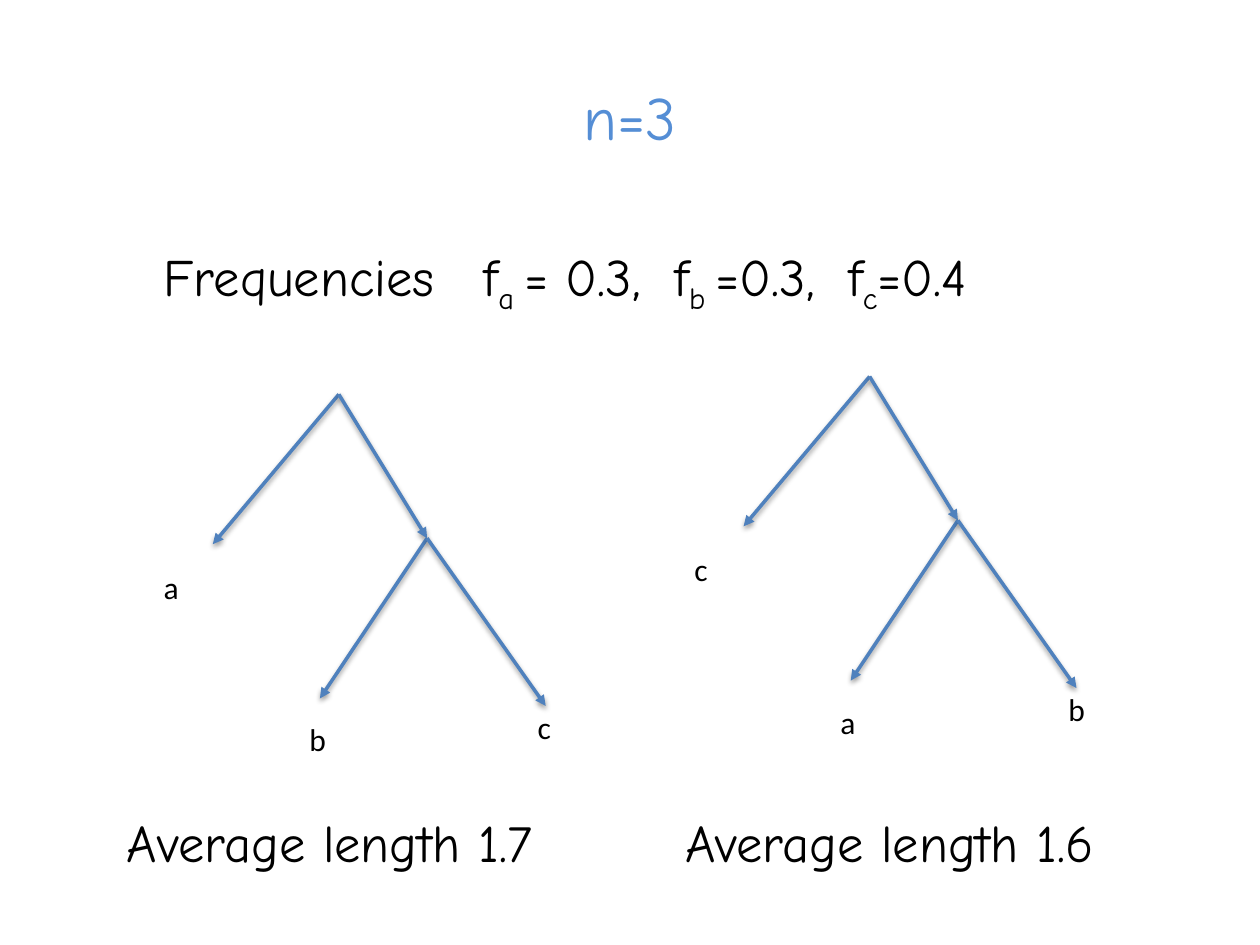
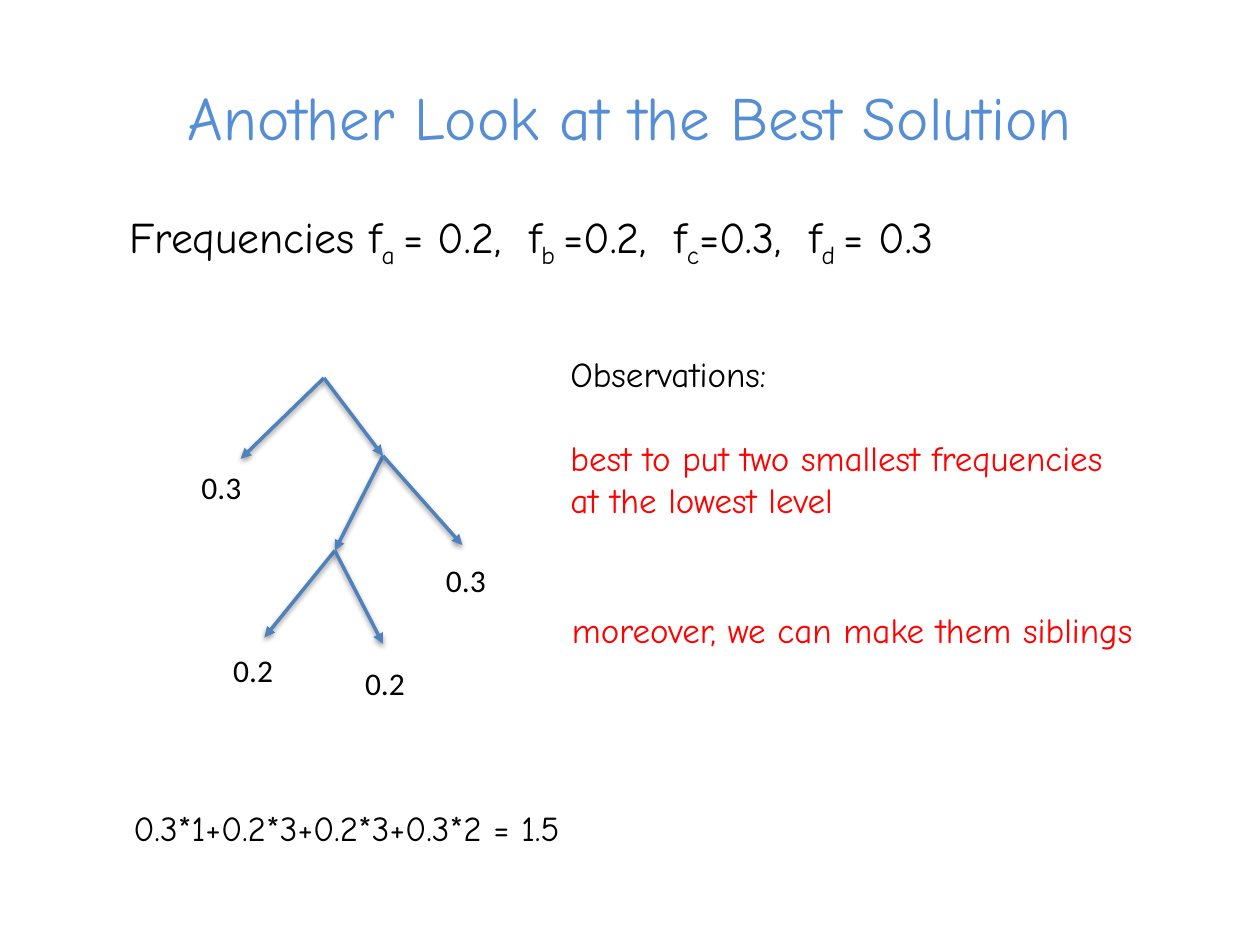
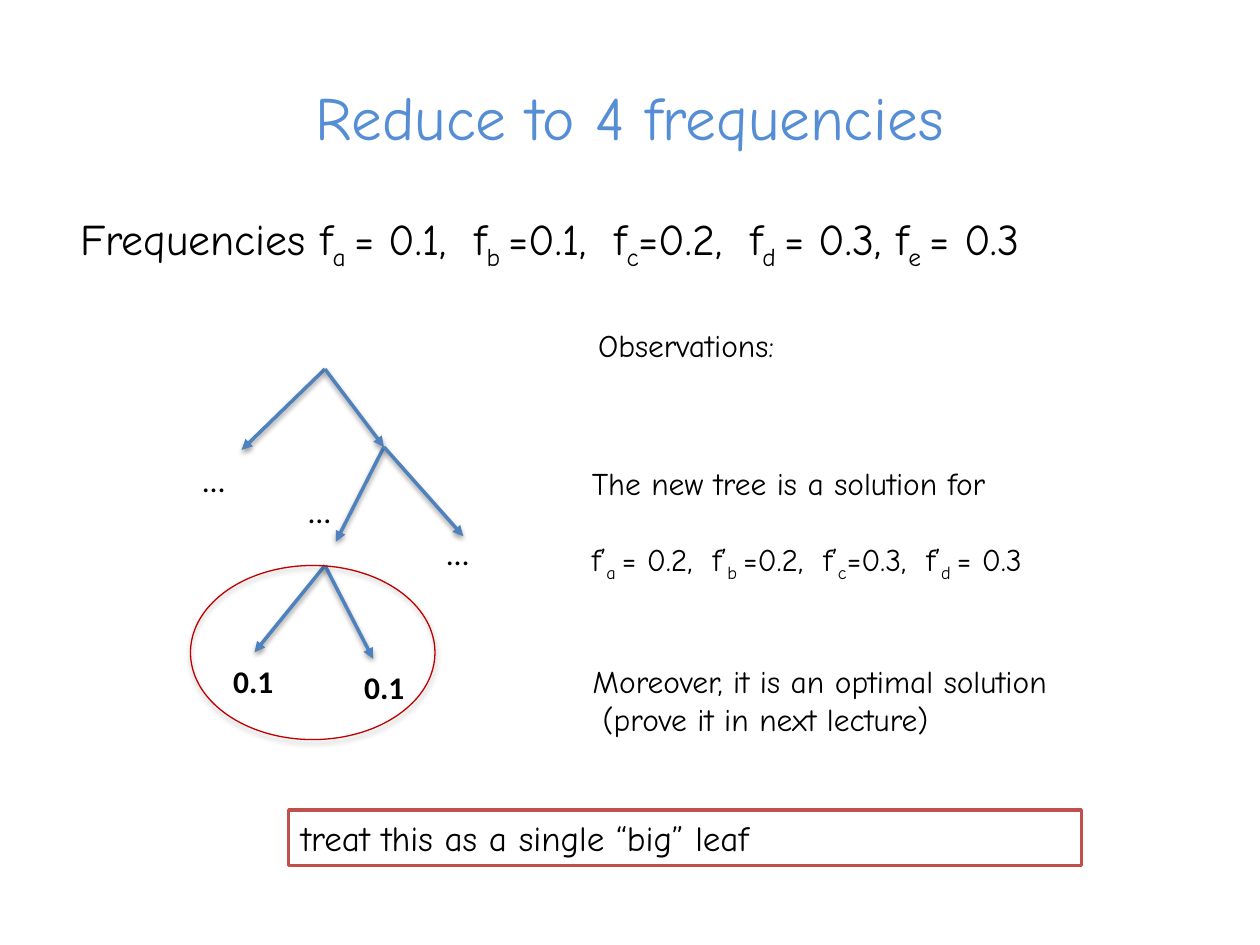
from lxml.etree import SubElement
from pptx import Presentation
from pptx.dml.color import RGBColor as Rgb
from pptx.enum.shapes import MSO_CONNECTOR as Link, MSO_SHAPE as Kind
from pptx.enum.text import MSO_ANCHOR as Anchor, MSO_AUTO_SIZE as Fit, PP_ALIGN as Align
from pptx.oxml.ns import qn
from pptx.util import Cm, Pt

HUES = {
    "title": "558ED5",
    "ink": "000000",
    "note": "FF0000",
    "edge": "4F81BD",
    "ring": "C00000",
    "frame": "C0504D",
    "paper": "FFFFFF",
}
HAND = "Comic Neue"
PLAIN = "Calibri"
SPACE = 0.3


def put(item, vals):
    for key, val in vals.items():
        setattr(item, key, val)


def hue(name):
    return Rgb.from_string(HUES[name])


class Deck:
    def __init__(self):
        self.prs = Presentation()
        put(self.prs, {"slide_width": Cm(25.4), "slide_height": Cm(19.05)})

    def page(self, title):
        self.slide = self.prs.slides.add_slide(self.prs.slide_layouts[5])
        self.host = self.slide.shapes
        head = self.slide.shapes.title
        put(head, {"left": Cm(1.27), "top": Cm(1.47), "width": Cm(22.86), "height": Cm(1.75)})
        self.fill(head.text_frame, [title], 35, tone="title", anchor=Anchor.MIDDLE, align=Align.CENTER)

    def group(self):
        self.host = self.slide.shapes.add_group_shape().shapes

    def loose(self):
        self.host = self.slide.shapes

    def run(self, para, text, size, face, tone, bold):
        run = para.add_run()
        run.text = text
        put(run.font, {"size": Pt(size), "name": face, "bold": bold})
        run.font.color.rgb = hue(tone)
        return run._r.get_or_add_rPr()

    def fill(self, frame, lines, size, face=HAND, tone="ink", bold=False,
             anchor=Anchor.TOP, align=Align.LEFT, gap=0, inset=0):
        put(frame, {"word_wrap": True, "auto_size": Fit.SHAPE_TO_FIT_TEXT, "vertical_anchor": anchor})
        for row, line in enumerate(lines):
            para = frame.add_paragraph() if row else frame.paragraphs[0]
            text, shade = line if isinstance(line, tuple) else (line, tone)
            put(para, {"alignment": align, "space_before": Pt(gap if row == 1 else 0)})
            if row and inset:
                para._p.get_or_add_pPr().set("marL", str(Cm(inset)))
            for spot, part in enumerate(text.replace("}", "{").split("{")):
                wide = spot % 2 and part.isdigit()
                if part:
                    props = self.run(para, " " if wide else part, size, face, shade, bold)
                    if wide:
                        props.set("spc", str(round((int(part) - 1) * SPACE * size * 100)))
                    elif spot % 2:
                        props.set("baseline", "-25000")

    def text(self, left, top, width, height, lines, size, **style):
        box = self.host.add_textbox(Cm(left), Cm(top), Cm(width), Cm(height))
        self.fill(box.text_frame, lines, size, **style)

    def label(self, left, top, word, width=1.37, bold=False):
        self.text(left, top, width, 1, [word], 18, face=PLAIN, bold=bold)

    def shade(self, shape, dist, alpha):
        effect = SubElement(shape._element.spPr, qn("a:effectLst"))
        drop = SubElement(effect, qn("a:outerShdw"), blurRad=str(Pt(3.1)), dist=str(Pt(dist)),
                          dir="5400000", rotWithShape="0")
        tint = SubElement(drop, qn("a:srgbClr"), val=HUES["ink"])
        SubElement(tint, qn("a:alpha"), val=str(alpha * 1000))

    def line(self, shape, tone, width):
        shape.line.color.rgb = hue(tone)
        shape.line.width = Pt(width)

    def arrow(self, x, y, dx, dy):
        edge = self.host.add_connector(Link.STRAIGHT, Cm(x), Cm(y), Cm(x + dx), Cm(y + dy))
        self.line(edge, "edge", 2)
        SubElement(edge.line._get_or_add_ln(), qn("a:tailEnd"), type="triangle")
        self.shade(edge, 1.6, 38)

    def fork(self, x, y, left, right):
        for dx, dy in (left, right):
            self.arrow(x, y, dx, dy)

    def ring(self, left, top, width, height):
        oval = self.host.add_shape(Kind.OVAL, Cm(left), Cm(top), Cm(width), Cm(height))
        oval.fill.background()
        self.line(oval, "ring", 0.75)
        self.shade(oval, 1.8, 35)

    def panel(self, left, top, width, height, line):
        box = self.host.add_shape(Kind.RECTANGLE, Cm(left), Cm(top), Cm(width), Cm(height))
        box.shadow.inherit = False
        box.fill.solid()
        box.fill.fore_color.rgb = hue("paper")
        self.line(box, "frame", 2)
        self.fill(box.text_frame, [line], 20)

    def small(self, x, y, names):
        self.group()
        self.fork(x, y, (-2.54, 3.02), (1.78, 2.9))
        self.fork(x + 1.78, y + 2.9, (-2.16, 3.23), (2.39, 3.38))
        for name, (dx, dy) in zip(names, ((-3.78, 3.38), (-0.84, 6.45), (3.76, 6.2))):
            self.label(x + dx, y + dy, name, 0.84)
        self.loose()

    def tall(self, x, y, low):
        self.fork(x, y, (-1.68, 1.63), (1.19, 1.57))
        self.fork(x + 1.19, y + 1.57, (-0.97, 1.91), (1.6, 1.8))
        self.fork(*low, (-1.42, 1.75), (0.97, 1.88))


deck = Deck()

deck.page("n=3")
deck.text(3.05, 4.8, 19.23, 1.55, ["Frequencies{3}f{a }= 0.3,{2}f{b }=0.3,{2}f{c}=0.4"], 30)
deck.small(6.83, 7.95, "abc")
deck.small(17.53, 7.59, "cab")
for left, mean in ((2.31, "1.7"), (13.56, "1.6")):
    deck.text(left, 16.2, 10.44, 1.55, [f"Average length {mean}"], 30)

deck.page("Another Look at the Best Solution")
deck.text(2.36, 4.11, 20.17, 1.32,
          ["Frequencies f{a }= 0.2,{2}f{b }=0.2,{2}f{c}=0.3,{2}f{d }= 0.3"], 25)
deck.group()
deck.tall(6.53, 7.62, (6.75, 11.1))
for left, top, word in ((3.81, 9.32, "0.3"), (4.45, 13, "0.2"), (7.11, 13.26, "0.2"), (8.74, 11.18, "0.3")):
    deck.label(left, top, word)
deck.loose()
deck.text(11.25, 6.99, 13.77, 3.68,
          ["Observations:", ("best to put two smallest frequencies", "note"), ("at the lowest level", "note")],
          20, gap=24)
deck.text(2.44, 16.13, 18.49, 1.12, ["0.3*1+0.2*3+0.2*3+0.3*2 = 1.5"], 20)
deck.text(11.28, 12.15, 13.77, 1.12, ["moreover, we can make them siblings"], 20, tone="note")

deck.page("Reduce to 4 frequencies")
deck.tall(6.55, 7.44, (6.55, 11.4))
for left, top in ((3.84, 9.17), (5.97, 9.8), (8.76, 10.64)):
    deck.label(left, top, "…")
for left, top in ((4.45, 13.23), (7.09, 13.34)):
    deck.label(left, top, "0.1", bold=True)
deck.ring(3.84, 11.4, 4.93, 3.51)
deck.panel(5.82, 16.33, 15.98, 1.12, "treat this as a single “big” leaf")
deck.text(11.68, 9.22, 13.64, 3,
          ["The new tree is a solution for", "f’{a }= 0.2,{2}f’{b }=0.2,{2}f’{c}=0.3,{2}f’{d }= 0.3"],
          18, gap=22)
deck.text(1.37, 4.14, 23.8, 1.32,
          ["Frequencies f{a }= 0.1,{2}f{b }=0.1,{2}f{c}=0.2,{2}f{d }= 0.3, f{e }= 0.3"], 25)
deck.text(11.7, 13.23, 13, 1.8, ["Moreover, it is an optimal solution", "(prove it in next lecture)"], 18, inset=0.2)
deck.text(11.81, 6.45, 13, 1.03, ["Observations:"], 18)

deck.prs.save("out.pptx")
